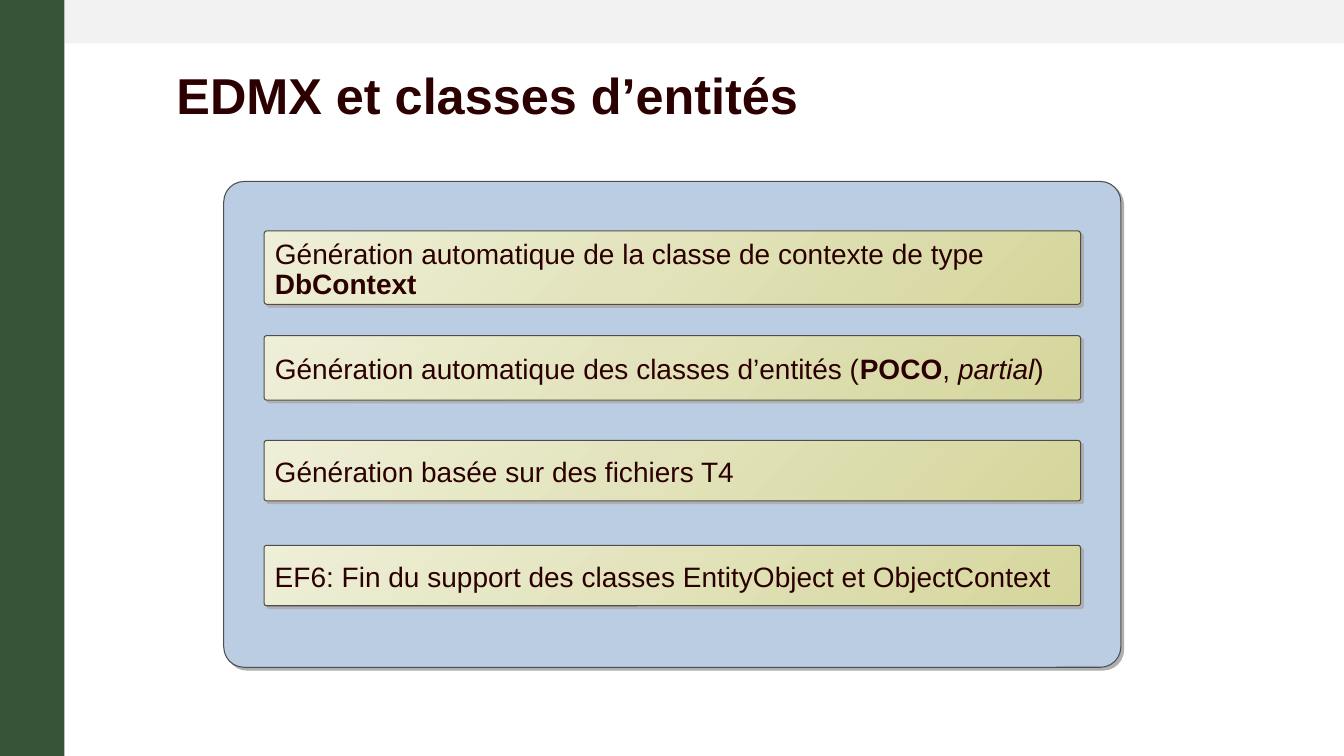
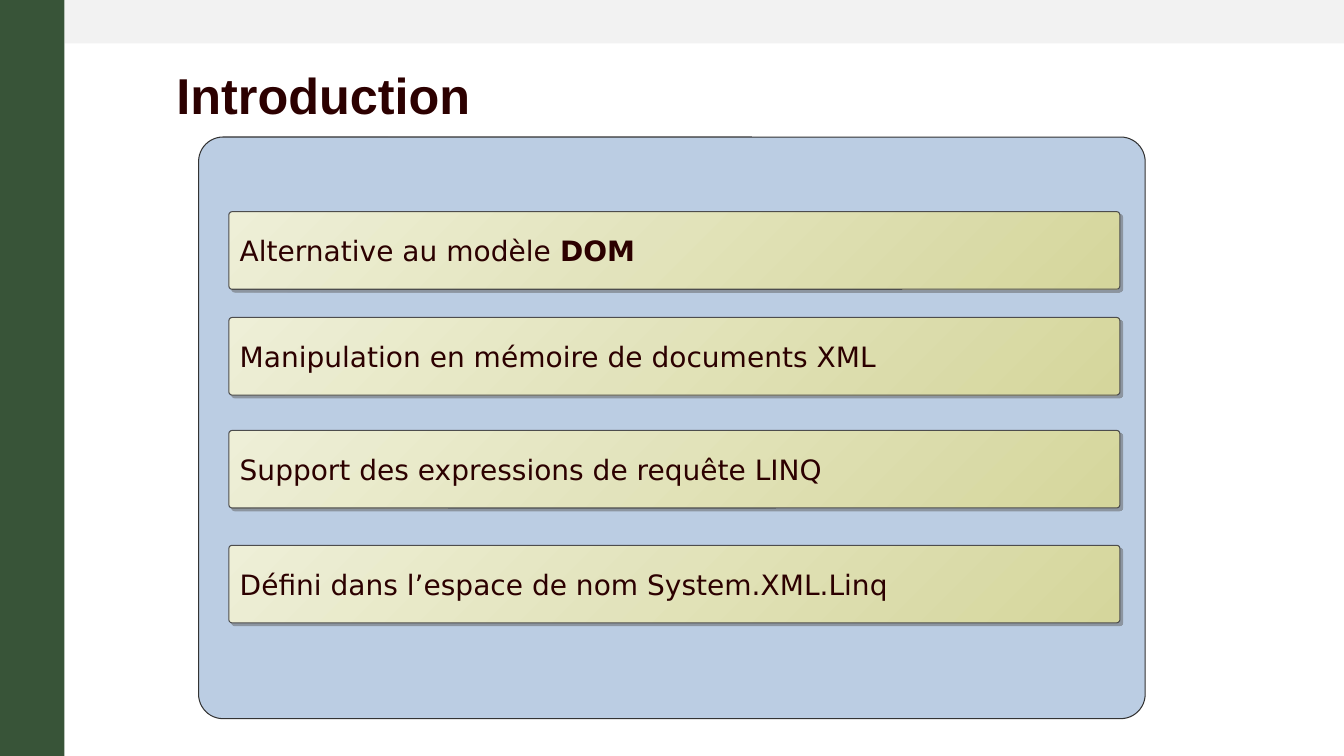
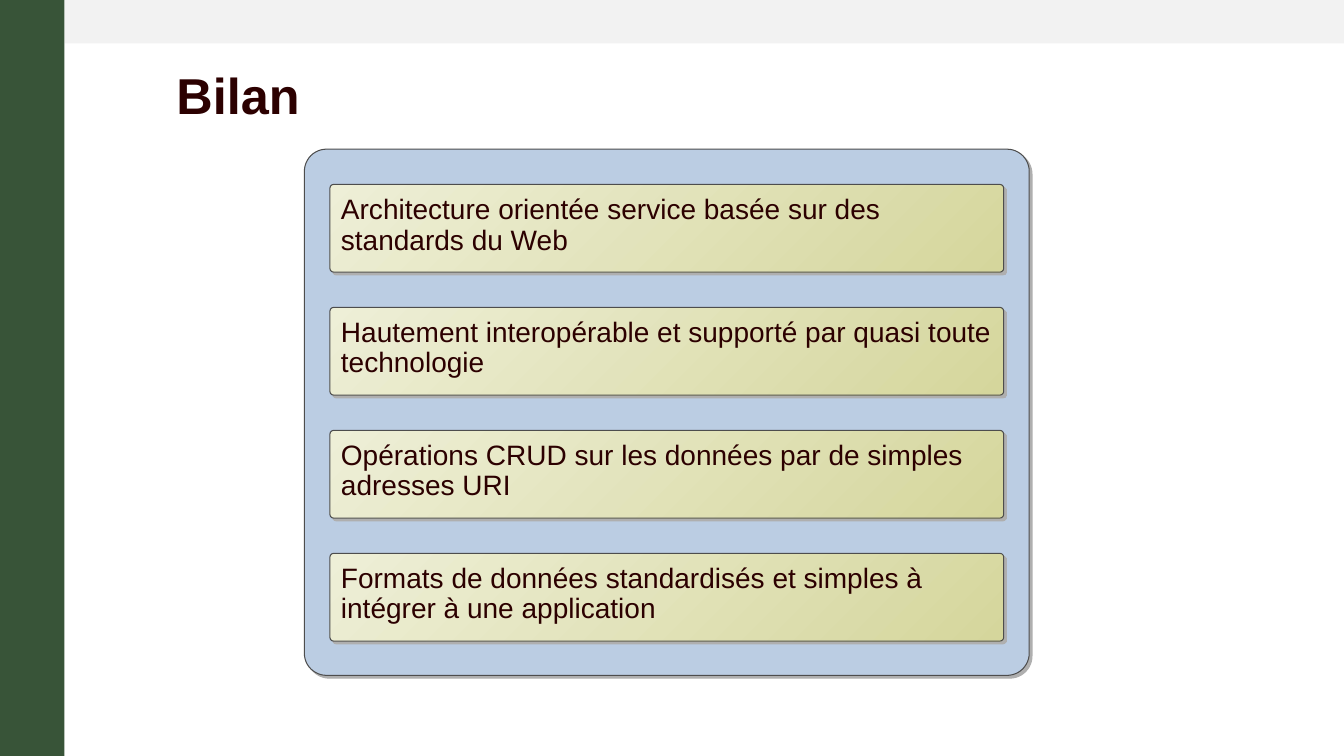
from dataclasses import dataclass

from lxml.etree import SubElement
from pptx import Presentation
from pptx.dml.color import RGBColor
from pptx.enum.shapes import MSO_SHAPE
from pptx.enum.text import MSO_ANCHOR, PP_ALIGN
from pptx.oxml.ns import qn
from pptx.util import Inches, Pt

# Shared grid: 100 columns by 75 rows
SLIDE_WIDTH, SLIDE_HEIGHT = Inches(13.33), Inches(7.5)
COLUMNS, ROWS = 100, 75
SIDE_COLUMNS, TOP_ROWS = 4.8, 4.3

# Shared colours
GREEN = RGBColor(0x38, 0x54, 0x38)
LIGHT_GREY = RGBColor(0xF2, 0xF2, 0xF2)
BROWN = RGBColor(0x2C, 0x00, 0x00)
PANEL_BLUE = RGBColor(0xBB, 0xCD, 0xE3)
CARD_LIGHT = RGBColor(0xEE, 0xEF, 0xD7)
CARD_DARK = RGBColor(0xD5, 0xD6, 0x9C)
OUTLINE = RGBColor(0x4D, 0x4D, 0x4D)
DARK_OUTLINE = RGBColor(0x33, 0x33, 0x33)
SOFT_SHADOW = RGBColor(0xAF, 0xAF, 0xAF)
DARK_SHADOW = RGBColor(0x5F, 0x5F, 0x5F)

TITLE_FONT = "Arial"
CORNER = 0.042


@dataclass
class Box:
    """A region in columns and rows."""
    left: float
    top: float
    width: float
    height: float

    def place(self):
        across, down = SLIDE_WIDTH / COLUMNS, SLIDE_HEIGHT / ROWS
        return (round(self.left * across), round(self.top * down),
                round(self.width * across), round(self.height * down))


@dataclass
class CardStyle:
    font: str = "Arial"
    anchor: MSO_ANCHOR = MSO_ANCHOR.MIDDLE
    line_spacing: float = 0.9
    bottom_inset: float = 0.05
    shadow: RGBColor = SOFT_SHADOW
    shadow_opacity: int = 100


def evenly(first, pitch, count=4):
    return [first + pitch * index for index in range(count)]


def add_band(page, box, colour):
    band = page.shapes.add_shape(MSO_SHAPE.RECTANGLE, *box.place())
    band.shadow.inherit = False
    band.fill.solid()
    band.fill.fore_color.rgb = colour
    band.line.fill.background()


def add_rounded(page, box, outline):
    shape = page.shapes.add_shape(MSO_SHAPE.ROUNDED_RECTANGLE, *box.place())
    shape.adjustments[0] = CORNER
    shape.line.color.rgb = outline
    shape.line.width = Pt(0.75)
    shape.shadow.inherit = False
    return shape


def add_shadow(shape, colour, opacity=100):
    effects = shape._element.spPr.find(qn("a:effectLst"))
    shadow = SubElement(effects, qn("a:outerShdw"), dist=str(Pt(2.8)),
                        dir=str(45 * 60000), algn="ctr", rotWithShape="0")
    tint = SubElement(shadow, qn("a:srgbClr"), val=str(colour))
    SubElement(tint, qn("a:alpha"), val=str(opacity * 1000))


def set_insets(frame, left, top, right, bottom):
    frame.margin_left, frame.margin_top = Inches(left), Inches(top)
    frame.margin_right, frame.margin_bottom = Inches(right), Inches(bottom)
    frame.word_wrap = True


def add_span(para, text, font, size, bold=False, italic=False):
    span = para.add_run()
    span.text = text
    span.font.name = font
    span.font.size = Pt(size)
    span.font.bold = bold
    span.font.italic = italic
    span.font.color.rgb = BROWN


def add_title(page, box, text):
    frame = page.shapes.add_textbox(*box.place()).text_frame
    set_insets(frame, 0.12, 0.12, 0, 0.12)
    frame.vertical_anchor = MSO_ANCHOR.BOTTOM
    para = frame.paragraphs[0]
    para.line_spacing = Pt(33.3)
    add_span(para, text, TITLE_FONT, 36, bold=True)


def add_card(page, box, spans, style):
    card = add_rounded(page, box, OUTLINE)
    add_shadow(card, style.shadow, style.shadow_opacity)
    card.fill.gradient()
    card.fill.gradient_angle = 315
    for stop, colour in zip(card.fill.gradient_stops, (CARD_LIGHT, CARD_DARK)):
        stop.color.rgb = colour
    frame = card.text_frame
    set_insets(frame, 0.1, 0.1, 0.1, style.bottom_inset)
    frame.vertical_anchor = style.anchor
    para = frame.paragraphs[0]
    para.alignment = PP_ALIGN.LEFT
    para.line_spacing = style.line_spacing
    for text, emphasis in spans:
        add_span(para, text, style.font, 20,
                 bold=emphasis == "bold", italic=emphasis == "italic")


def add_panel(page, box, outline=OUTLINE, shadow=SOFT_SHADOW):
    panel = add_rounded(page, box, outline)
    panel.fill.solid()
    panel.fill.fore_color.rgb = PANEL_BLUE
    if shadow is not None:
        add_shadow(panel, shadow)


def add_cards(page, panel, sides, tops, heights, texts, style):
    """Stack cards in the panel; sides and tops are measured from its edges."""
    left, right = sides
    for top, height, spans in zip(tops, heights, texts):
        box = Box(panel.left + left, panel.top + top,
                  panel.width - left - right, height)
        add_card(page, box, spans, style)


def add_page(deck, title):
    page = deck.slides.add_slide(deck.slide_layouts[6])
    add_band(page, Box(SIDE_COLUMNS, 0, COLUMNS - SIDE_COLUMNS, TOP_ROWS), LIGHT_GREY)
    add_band(page, Box(0, 0, SIDE_COLUMNS, ROWS), GREEN)
    add_title(page, Box(12.23, 6.6, 85.28, 7), title)
    return page


def build_entities(deck):
    page = add_page(deck, "EDMX et classes d’entités")
    panel = Box(16.65, 18, 66.75, 48.2)
    add_panel(page, panel)
    texts = [
        [("Génération automatique de la classe de contexte de type ", ""),
         ("DbContext", "bold")],
        [("Génération automatique des classes d’entités (", ""), ("POCO", "bold"),
         (", ", ""), ("partial", "italic"), (")", "")],
        [("Génération basée sur des fichiers T4", "")],
        [("EF6: Fin du support des classes EntityObject et ObjectContext", "")],
    ]
    add_cards(page, panel, (3, 3), evenly(4.9, 10.4), (7.3, 6.4, 6, 6),
              texts, CardStyle())


def build_introduction(deck):
    page = add_page(deck, "Introduction")
    panel = Box(14.78, 13.6, 70.43, 57.7)
    add_panel(page, panel, DARK_OUTLINE, None)
    texts = [
        [("Alternative au modèle ", ""), ("DOM", "bold")],
        [("Manipulation en mémoire de documents XML", "")],
        [("Support des expressions de requête LINQ", "")],
        [("Défini dans l’espace de nom System.XML.Linq", "")],
    ]
    style = CardStyle(font="DejaVu Sans", line_spacing=1.0, bottom_inset=0.1,
                      shadow=DARK_SHADOW, shadow_opacity=50)
    add_cards(page, panel, (2.25, 1.88), (7.4, 17.9, 29.1, 40.5), [7.7] * 4,
              texts, style)


def build_summary(deck):
    page = add_page(deck, "Bilan")
    panel = Box(22.65, 14.8, 53.93, 52.2)
    add_panel(page, panel)
    texts = [
        [("Architecture orientée service basée sur des standards du Web", "")],
        [("Hautement interopérable et supporté par quasi toute technologie", "")],
        [("Opérations CRUD sur les données par de simples adresses URI", "")],
        [("Formats de données standardisés et simples à intégrer à une application", "")],
    ]
    add_cards(page, panel, (1.9, 1.9), evenly(3.5, 12.2), [8.7] * 4,
              texts, CardStyle(anchor=MSO_ANCHOR.TOP))


def main():
    deck = Presentation()
    deck.slide_width, deck.slide_height = SLIDE_WIDTH, SLIDE_HEIGHT
    build_entities(deck)
    build_introduction(deck)
    build_summary(deck)
    deck.save("out.pptx")


if __name__ == "__main__":
    main()
